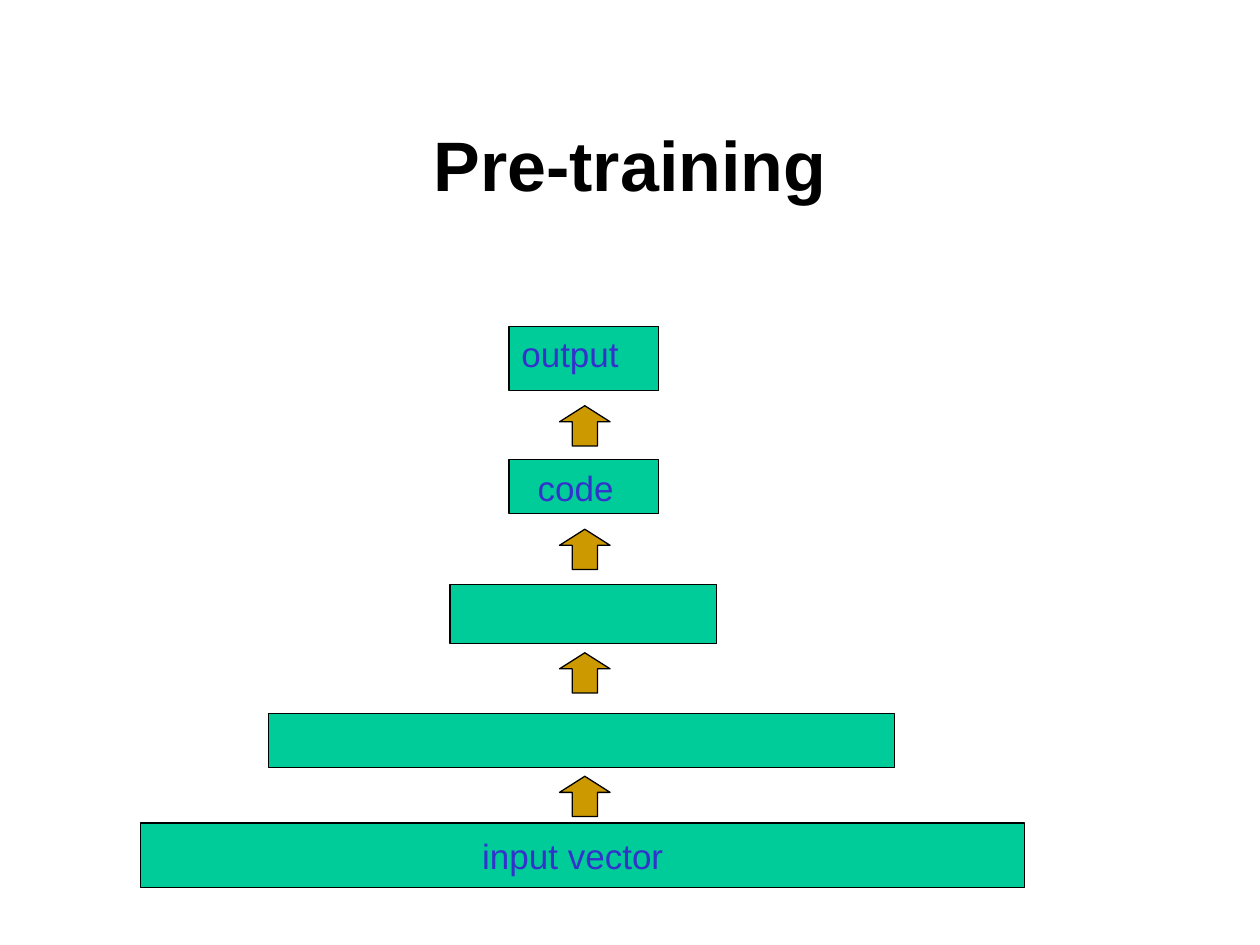
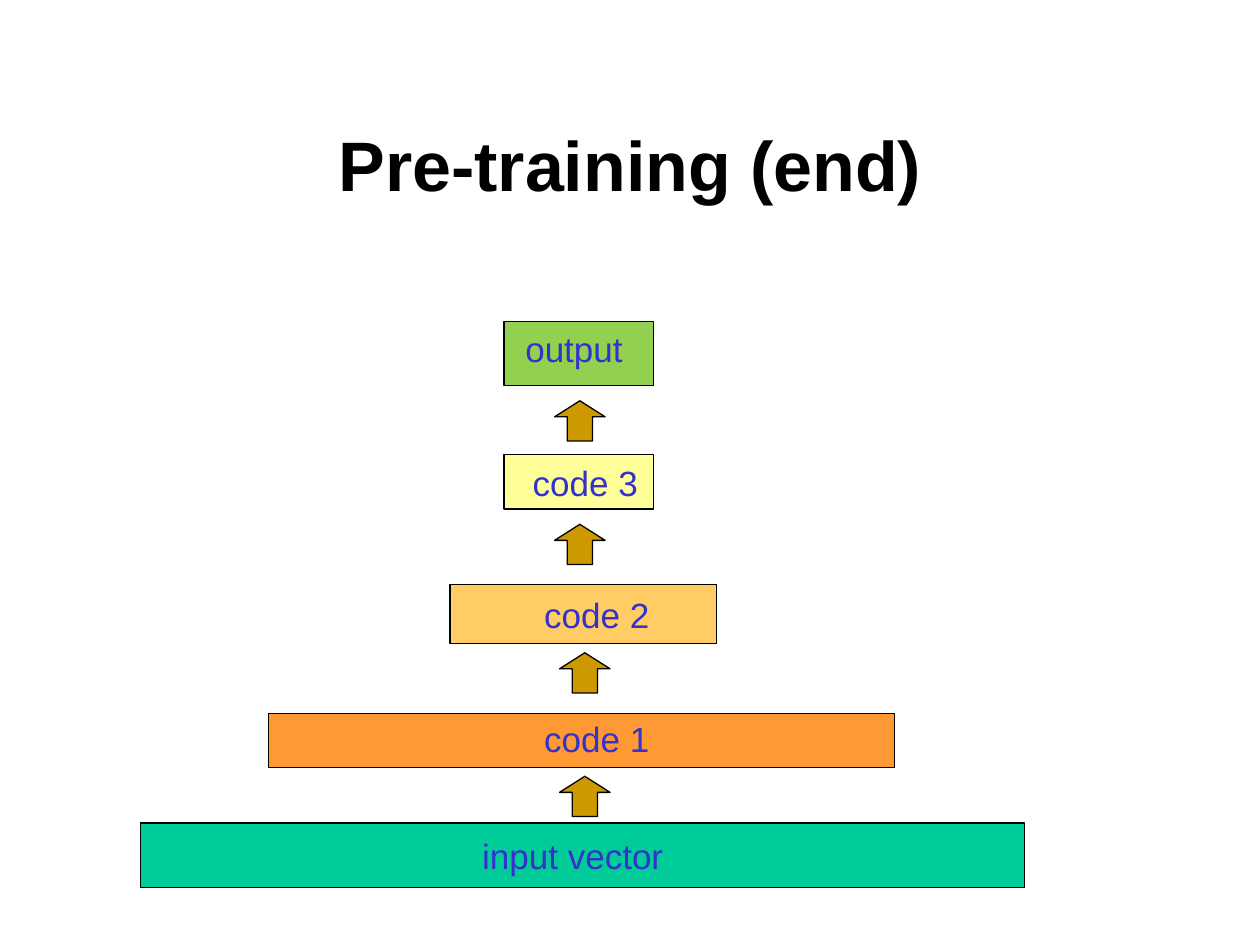
from pptx import Presentation
from pptx.dml.color import RGBColor
from pptx.enum.shapes import MSO_SHAPE as Shape
from pptx.enum.text import MSO_ANCHOR as Anchor, MSO_AUTO_SIZE as Auto, PP_ALIGN as Align
from pptx.util import Cm, Pt

FONT = "Arial"
BLACK, BLUE, GOLD, GREEN = "000000", "3333CC", "CC9900", "00CC99"

# Network layers from top to bottom: left, top, width, height in cm
BARS = [
    (10.26, 6.58, 3.02, 1.3),
    (10.26, 9.27, 3.02, 1.09),
    (9.07, 11.79, 5.38, 1.19),
    (5.41, 14.38, 12.62, 1.09),
    (2.84, 16.59, 17.81, 1.3),
]
ARROW_TOP, ARROW_STEP = 8.18, 2.49
INPUT = ("input vector", GREEN, 9.47, 16.69, 8.86)

# Per slide: title, shift of the upper two layers,
# and for each layer: label, fill, then left, top and width of the label
SLIDES = [
    ("Pre-training", 0, [
        ("output", GREEN, 10.26, 6.58, 3.02),
        ("code", GREEN, 10.59, 9.27, 2.31),
        ("", GREEN, 0, 0, 0),
        ("", GREEN, 0, 0, 0),
        INPUT,
    ]),
    ("Pre-training (end)", -0.1, [
        ("output", "92D050", 10.34, 6.48, 3.91),
        ("code 3", "FFFF99", 10.49, 9.17, 2.95),
        ("code 2", "FFCC66", 10.72, 11.84, 6.68),
        ("code 1", "FF9933", 10.72, 14.33, 7.59),
        INPUT,
    ]),
]


def rgb(code):
    return RGBColor.from_string(code)


def draw(slide, kind, left, top, width, height, fill):
    """Add a filled preset shape with a thin black outline."""
    shape = slide.shapes.add_shape(kind, Cm(left), Cm(top), Cm(width), Cm(height))
    shape.shadow.inherit = False
    shape.fill.solid()
    shape.fill.fore_color.rgb = rgb(fill)
    shape.line.color.rgb = rgb(BLACK)
    shape.line.width = Pt(0.75)
    return shape


deck = Presentation()
deck.slide_width, deck.slide_height = Cm(25.4), Cm(19.05)

for head, shift, layers in SLIDES:
    slide = deck.slides.add_slide(deck.slide_layouts[5])
    title = slide.shapes.title
    title.left, title.top, title.width, title.height = Cm(1.9), Cm(1.7), Cm(21.6), Cm(3.18)
    title.text_frame.text = head
    title.text_frame.vertical_anchor = Anchor.MIDDLE
    para = title.text_frame.paragraphs[0]
    para.alignment = Align.CENTER
    font = para.runs[0].font
    font.name, font.size, font.bold = FONT, Pt(40), True
    font.color.rgb = rgb(BLACK)

    for row, (bar, layer) in enumerate(zip(BARS, layers)):
        left, top, width, height = bar
        label, fill, text_left, text_top, text_width = layer
        move = shift if row < 2 else 0
        draw(slide, Shape.RECTANGLE, left + move, top + move, width, height, fill)

        if row < len(BARS) - 1:
            arrow = draw(slide, Shape.UP_ARROW, 11.28 + move,
                         ARROW_TOP + row * ARROW_STEP + move, 1.02, 0.81, GOLD)
            arrow.adjustments[1] = 0.4

        if label:
            box = slide.shapes.add_textbox(Cm(text_left), Cm(text_top), Cm(text_width), Cm(1.11))
            frame = box.text_frame
            frame.word_wrap = True
            frame.auto_size = Auto.SHAPE_TO_FIT_TEXT
            frame.text = label
            font = frame.paragraphs[0].runs[0].font
            font.name, font.size = FONT, Pt(20)
            font.color.rgb = rgb(BLUE)

deck.save("out.pptx")
